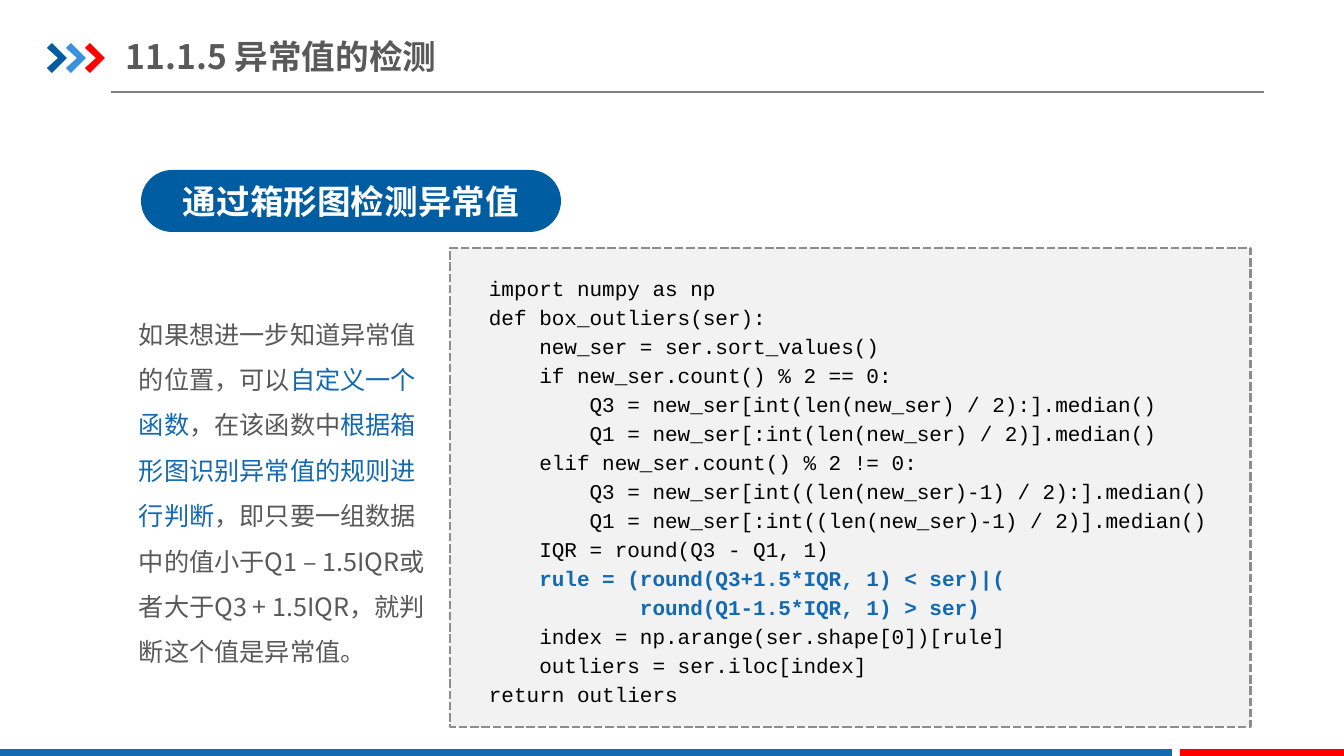
from lxml.etree import SubElement
from pptx import Presentation
from pptx.dml.color import RGBColor
from pptx.enum.dml import MSO_LINE as Dash
from pptx.enum.shapes import MSO_CONNECTOR as Link, MSO_SHAPE as Kind
from pptx.enum.text import MSO_ANCHOR as Anchor, MSO_AUTO_SIZE as Fit, PP_ALIGN as Align
from pptx.oxml.ns import qn
from pptx.util import Pt

MONO, SANS = "Courier New", "Noto Sans CJK SC"
NAVY, BLUE, SKY, RED = "005DA2", "1369B2", "3992DB", "FF0000"
GREY, BLACK, WHITE = "595959", "000000", "FFFFFF"

TITLE = "11.1.5 异常值的检测"
TOPIC = "通过箱形图检测异常值"
NOTE = [
    ("如果想进一步知道异常值的位置，可以", GREY),
    ("自定义一个函数", BLUE),
    ("，在该函数中", GREY),
    ("根据箱形图识别异常值的规则进行判断", BLUE),
    ("，即只要一组数据中的值小于Q1 – 1.5IQR或者大于Q3 + 1.5IQR，就判断这个值是异常值。", GREY),
]
CODE = """import numpy as np
def box_outliers(ser):
    new_ser = ser.sort_values()
    if new_ser.count() % 2 == 0:
        Q3 = new_ser[int(len(new_ser) / 2):].median()
        Q1 = new_ser[:int(len(new_ser) / 2)].median()
    elif new_ser.count() % 2 != 0:
        Q3 = new_ser[int((len(new_ser)-1) / 2):].median()
        Q1 = new_ser[:int((len(new_ser)-1) / 2)].median()
    IQR = round(Q3 - Q1, 1)
    rule = (round(Q3+1.5*IQR, 1) < ser)|(
            round(Q1-1.5*IQR, 1) > ser)
    index = np.arange(ser.shape[0])[rule]
    outliers = ser.iloc[index]
return outliers"""
BOLD = (10, 11)
CHEVRON = [(0, 5), (5, 0), (20, 15), (5, 30), (0, 25), (11, 15)]
ARROWS = [(47, NAVY), (66, SKY), (85, RED)]
BARS = [(0, 1172, BLUE), (1180, 164, RED)]

SCALE = 914400 / 100.8


def px(n):
    return round(n * SCALE)


def color(text):
    return RGBColor.from_string(text)


def paint(shape, fill):
    shape.shadow.inherit = False
    shape.fill.solid()
    shape.fill.fore_color.rgb = color(fill)
    shape.line.fill.background()
    return shape


def block(kind, box, fill):
    return paint(slide.shapes.add_shape(kind, *map(px, box)), fill)


def style(run, face, size, tint, bold=False):
    font = run.font
    font.name, font.size, font.bold = face, Pt(size), bold
    font.color.rgb = color(tint)
    SubElement(font._element, qn("a:ea"), typeface=face)


def textbox(box):
    frame = slide.shapes.add_textbox(*map(px, box)).text_frame
    frame.word_wrap = True
    return frame


def heading(frame, text, tint, align):
    frame.text = text
    frame.word_wrap = True
    frame.auto_size = Fit.NONE
    frame.vertical_anchor = Anchor.MIDDLE
    para = frame.paragraphs[0]
    para.alignment = align
    style(para.runs[0], SANS, 24, tint, True)


deck = Presentation()
deck.slide_width, deck.slide_height = px(1344), px(756)
slide = deck.slides.add_slide(deck.slide_layouts[5])

rule = slide.shapes.add_connector(Link.STRAIGHT, px(111), px(92), px(1264), px(92))
rule.line.color.rgb = color("808080")
rule.line.width = Pt(0.75)
SubElement(rule._element.spPr, qn("a:effectLst"))

for left, tint in ARROWS:
    dots = [(left + x, 43 + y) for x, y in CHEVRON]
    path = slide.shapes.build_freeform(*dots[0], scale=SCALE)
    path.add_line_segments(dots[1:])
    paint(path.convert_to_shape(), tint)

for left, width, tint in BARS:
    block(Kind.RECTANGLE, (left, 749, width, 9), tint)

panel = block(Kind.RECTANGLE, (450, 248, 801, 479), "F2F2F2")
panel.line.color.rgb = color("8D8D8D")
panel.line.width = Pt(2)
panel.line.dash_style = Dash.SQUARE_DOT

frame = textbox((450, 267, 824, 449))
frame.text = CODE
for i, para in enumerate(frame.paragraphs):
    para.line_spacing = 1.15
    para._p.get_or_add_pPr().set("indent", str(px(29)))
    hot = i in BOLD
    style(para.runs[0], MONO, 15, BLUE if hot else BLACK, hot)

title = slide.shapes.title
title.left, title.top, title.width, title.height = map(px, (126, 29, 459, 55))
title.text_frame.margin_left = title.text_frame.margin_right = 0
heading(title.text_frame, TITLE, GREY, Align.LEFT)

pill = block(Kind.ROUNDED_RECTANGLE, (141, 170, 420, 62), NAVY)
pill.adjustments[0] = 0.5
heading(pill.text_frame, TOPIC, WHITE, Align.CENTER)

para = textbox((129, 299, 318, 377)).paragraphs[0]
para.line_spacing = 1.5
for text, tint in NOTE:
    run = para.add_run()
    run.text = text
    style(run, SANS, 18, tint)

deck.save("out.pptx")
